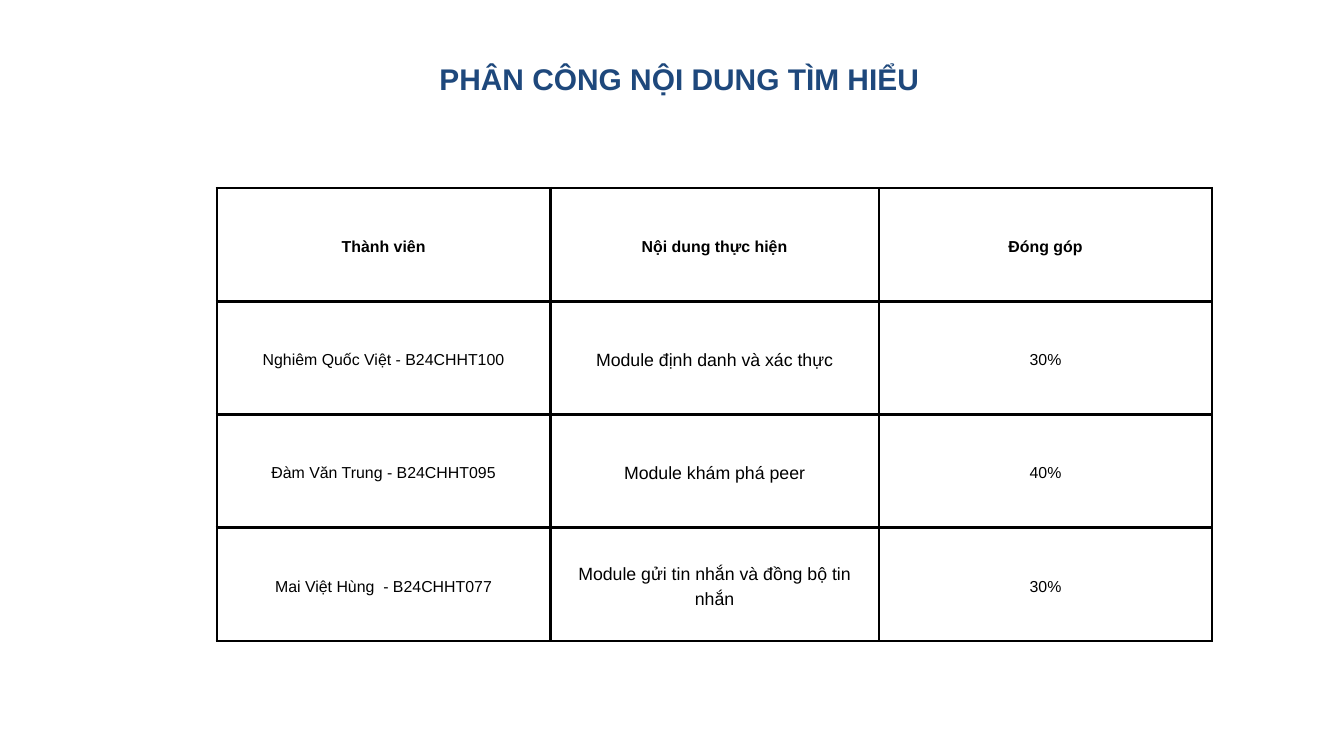
import pptx
import pptx.util
import pptx.dml.color
import pptx.enum.text
import pptx.oxml
import pptx.oxml.ns

Cm = pptx.util.Cm
Pt = pptx.util.Pt
ALIGN = pptx.enum.text.PP_ALIGN
ROWS = [
    ("Thành viên", "Nội dung thực hiện", "Đóng góp"),
    ("Nghiêm Quốc Việt - B24CHHT100", "Module định danh và xác thực", "30%"),
    ("Đàm Văn Trung - B24CHHT095", "Module khám phá peer", "40%"),
    ("Mai Việt Hùng  - B24CHHT077", "Module gửi tin nhắn và đồng bộ tin nhắn", "30%"),
]
WIDTHS = (12.6, 12.42, 12.6)
HEIGHT = 4.28


def tint(code):
    return pptx.dml.color.RGBColor.from_string(code)


def write(frame, text, size=17, color="000000", bold=False, align=ALIGN.CENTER):
    frame.word_wrap = True
    para = frame.paragraphs[0]
    para.alignment = align
    para.line_spacing = Pt(size * 1.4)
    run = para.add_run()
    run.text = text
    font = run.font
    font.name = "Arial"
    font.size = Pt(size)
    font.bold = bold
    font.color.rgb = tint(color)


def border(cell, color="000000", width=3):
    props = cell._tc.get_or_add_tcPr()
    for side in "LRTB":
        props.append(pptx.oxml.parse_xml(
            f'<a:ln{side} {pptx.oxml.ns.nsdecls("a")} w="{Pt(width)}">'
            f'<a:solidFill><a:srgbClr val="{color}"/></a:solidFill>'
            f'</a:ln{side}>'))


def add_title(slide):
    box = slide.shapes.add_textbox(Cm(16.61), Cm(2.06), Cm(18.77), Cm(1.47))
    frame = box.text_frame
    frame.margin_left = frame.margin_right = 0
    frame.margin_top = frame.margin_bottom = 0
    write(frame, "PHÂN CÔNG NỘI DUNG TÌM HIỂU", size=32, color="1E487C",
          bold=True, align=ALIGN.LEFT)
    frame.auto_size = pptx.enum.text.MSO_AUTO_SIZE.SHAPE_TO_FIT_TEXT


def add_grid(slide):
    table = slide.shapes.add_table(
        len(ROWS), len(WIDTHS), Cm(8.2), Cm(7.11),
        Cm(sum(WIDTHS)), Cm(HEIGHT * len(ROWS))).table
    table.first_row = table.horz_banding = False
    for col, width in zip(table.columns, WIDTHS):
        col.width = Cm(width)
    for r, texts in enumerate(ROWS):
        table.rows[r].height = Cm(HEIGHT)
        for c, text in enumerate(texts):
            cell = table.cell(r, c)
            cell.margin_left = cell.margin_right = Cm(0.53)
            cell.margin_top = cell.margin_bottom = Cm(0.53)
            cell.vertical_anchor = pptx.enum.text.MSO_ANCHOR.MIDDLE
            border(cell)
            cell.fill.background()
            write(cell.text_frame, text, size=19 if r and c == 1 else 17, bold=r == 0)


def main():
    deck = pptx.Presentation()
    deck.slide_width = Cm(50.8)
    deck.slide_height = Cm(28.58)
    slide = deck.slides.add_slide(deck.slide_layouts[6])
    add_grid(slide)
    add_title(slide)
    deck.save("out.pptx")


if __name__ == "__main__":
    main()
